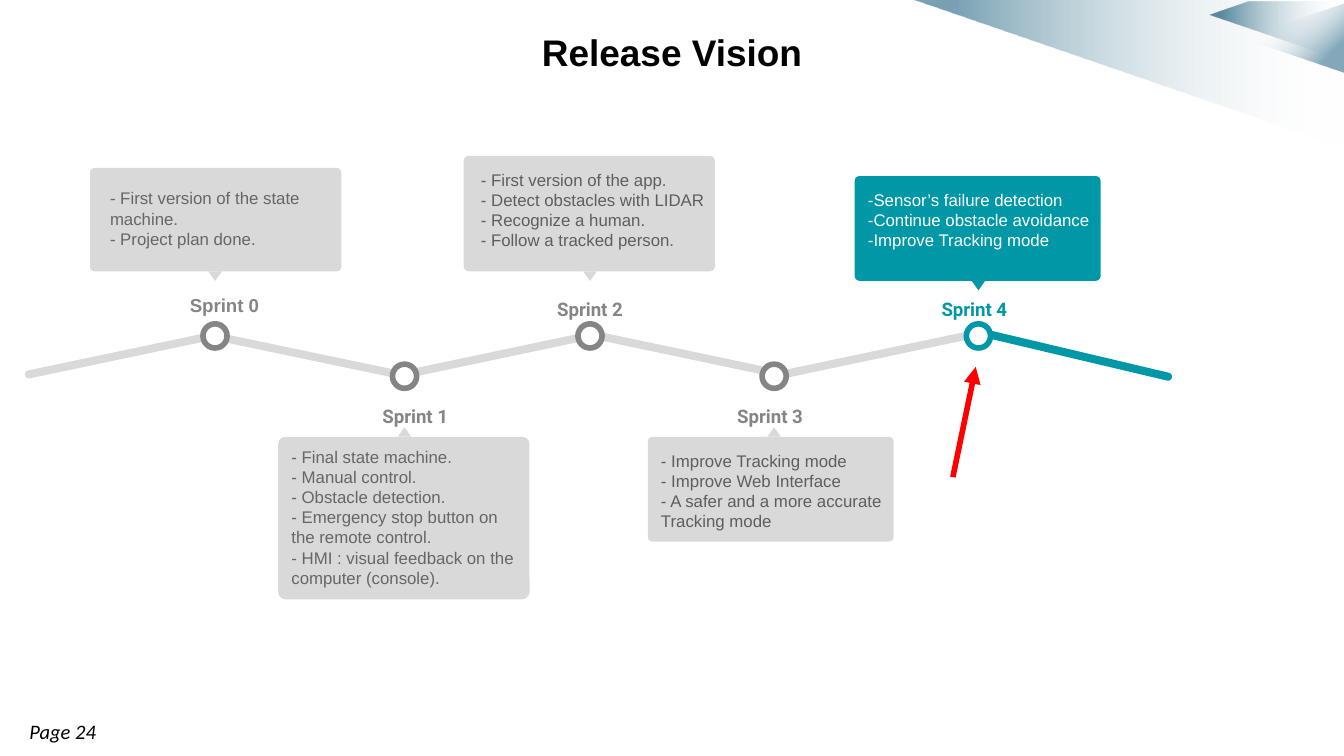
"""Build the Release Vision slide, a zigzag timeline of five sprints."""
from lxml.etree import SubElement
from pptx import Presentation
from pptx.dml.color import RGBColor
from pptx.enum.shapes import MSO_CONNECTOR as CONNECTOR, MSO_SHAPE as SHAPE
from pptx.enum.text import MSO_ANCHOR as ANCHOR, MSO_AUTO_SIZE as FIT, PP_ALIGN as ALIGN
from pptx.oxml.ns import qn
from pptx.util import Pt

PX = 9144
WIDTH = 1000
WHITE, BLACK, RED, NAVY = "FFFFFF", "000000", "FF0000", "004D6F"
PALE, GREY, TEAL = "D9D9D9", "858585", "0097A7"
RING, POINTER_W, POINTER_H = 18, 10, 7

SPRINTS = [
    dict(name="Sprint 0", x=160, y=250, accent=GREY, fill=PALE, ink="666666",
         label=(167, 209, "Arial", 1.0), card=(67, 125, 187, 77), body=(72, 130, 178, 68),
         lines=["- First version of the state machine.", "- Project plan done."]),
    dict(name="Sprint 1", x=301, y=280, accent=GREY, fill=PALE, ink="666666",
         label=(309, 289, "Roboto", 1.15), card=(207, 325, 187, 121), body=(207, 322, 187, 121),
         lines=["- Final state machine.", "- Manual control.", "- Obstacle detection.",
                "- Emergency stop button on the remote control.",
                "- HMI : visual feedback on the computer (console)."]),
    dict(name="Sprint 2", x=439, y=250, accent=GREY, fill=PALE, ink="5E5E5E",
         label=(439, 209, "Roboto", 1.15), card=(345, 116, 187, 86), body=(348, 116, 187, 78),
         lines=["- First version of the app.", "- Detect obstacles with LIDAR",
                "- Recognize a human.", "- Follow a tracked person."]),
    dict(name="Sprint 3", x=576, y=280, accent=GREY, fill=PALE, ink="5E5E5E",
         label=(573, 289, "Roboto", 1.15), card=(482, 325, 183, 78), body=(482, 325, 187, 78),
         lines=["- Improve Tracking mode", "- Improve Web Interface",
                "- A safer and a more accurate Tracking mode"]),
    dict(name="Sprint 4", x=728, y=250, accent=TEAL, fill=TEAL, ink=WHITE,
         label=(725, 209, "Roboto", 1.15), card=(636, 131, 183, 78), body=(636, 131, 187, 63),
         lines=["-Sensor’s failure detection", "-Continue obstacle avoidance",
                "-Improve Tracking mode"]),
]
SEGMENTS = [(17, 148, -11.9, PALE), (156, 140, 11.8, PALE), (297, 148, -11.9, PALE),
            (438, 148, 11.9, PALE), (578, 148, -11.9, PALE), (726, 148, 13.3, TEAL)]
WEDGES = [([(679, 0), (1000, 0), (1000, 110)], 53),
          ([(900, 11), (929, 1), (1000, 1), (1000, 45)], 63)]


def color(value):
    return RGBColor.from_string(value)


def scaled(*lengths):
    return [length * PX for length in lengths]


def add_shape(kind, bounds, fill, rotation=0, radius=None):
    shape = slide.shapes.add_shape(kind, *scaled(*bounds))
    shape.shadow.inherit = False
    shape.fill.solid()
    shape.fill.fore_color.rgb = color(fill)
    shape.line.fill.background()
    shape.rotation = rotation
    if radius is not None:
        shape.adjustments[0] = radius
    return shape


def set_gradient(shape, stops, angle):
    shape.fill.gradient()
    gradient = shape._element.spPr.find(qn("a:gradFill"))
    for child in list(gradient):
        gradient.remove(child)
    stop_list = SubElement(gradient, qn("a:gsLst"))
    for position, value, alpha in stops:
        stop = SubElement(stop_list, qn("a:gs"), pos=str(position * 1000))
        shade = SubElement(stop, qn("a:srgbClr"), val=value)
        SubElement(shade, qn("a:alpha"), val=str(alpha * 1000))
    SubElement(gradient, qn("a:lin"), ang=str(angle * 60000), scaled="0")


def write(box, lines, font, size, ink, inset=(10, 10), align=ALIGN.LEFT, spacing=1.0,
          bold=False, italic=False):
    frame = box.text_frame
    frame.word_wrap = True
    frame.auto_size = FIT.NONE
    frame.vertical_anchor = ANCHOR.TOP
    frame.margin_left = frame.margin_right = inset[0] * PX
    frame.margin_top = frame.margin_bottom = inset[1] * PX
    frame.text = "\n".join(lines)
    for para in frame.paragraphs:
        para.alignment = align
        para.line_spacing = spacing
        for span in para.runs:
            span.font.name, span.font.size = font, Pt(size)
            span.font.bold, span.font.italic = bold, italic
            span.font.color.rgb = color(ink)


def add_text(bounds, lines, *style, **options):
    write(slide.shapes.add_textbox(*scaled(*bounds)), lines, *style, **options)


def add_corner():
    for points, alpha in WEDGES:
        start, *others = points
        builder = slide.shapes.build_freeform(*start, scale=PX)
        builder.add_line_segments(others)
        wedge = builder.convert_to_shape()
        wedge.shadow.inherit = False
        wedge.line.fill.background()
        set_gradient(wedge, [(0, NAVY, alpha), (9, NAVY, alpha), (100, WHITE, 0)], 0)
    tip = add_shape(SHAPE.ISOSCELES_TRIANGLE, (937, -9, 51, 75), NAVY, 270)
    set_gradient(tip, [(0, WHITE, 0), (27, WHITE, 0), (81, NAVY, 48), (100, NAVY, 48)], 135)


def add_sprint(sprint):
    x, y = sprint["x"], sprint["y"]
    label_x, label_y, font, spacing = sprint["label"]
    left, top, width, height = sprint["card"]
    above = top < y
    pointer_y = top + height if above else top - POINTER_H
    add_shape(SHAPE.ROUNDED_RECTANGLE, sprint["card"], sprint["fill"], radius=0.045)
    add_shape(SHAPE.ISOSCELES_TRIANGLE, (x - POINTER_W // 2, pointer_y, POINTER_W, POINTER_H),
              sprint["fill"], 180 if above else 0)
    add_text(sprint["body"], sprint["lines"], "Arial", 9, sprint["ink"])
    add_text((label_x - 45, label_y, 90, 30), [sprint["name"]], font, 10, sprint["accent"],
             align=ALIGN.CENTER, spacing=spacing, bold=True)
    ring = add_shape(SHAPE.OVAL, (x - RING // 2, y - RING // 2, RING, RING), WHITE)
    ring.line.color.rgb = color(sprint["accent"])
    ring.line.width = Pt(3)


def add_arrow(start, end):
    arrow = slide.shapes.add_connector(CONNECTOR.STRAIGHT, *scaled(*start, *end))
    arrow.line.color.rgb = color(RED)
    arrow.line.width = Pt(3)
    SubElement(arrow.line._get_or_add_ln(), qn("a:tailEnd"), type="triangle")
    SubElement(arrow._element.spPr, qn("a:effectLst"))


deck = Presentation()
deck.slide_width = WIDTH * PX
deck.slide_height = WIDTH * PX * 9 // 16
slide = deck.slides.add_slide(deck.slide_layouts[5])

add_corner()
title = slide.shapes.title
title.left, title.top, title.width, title.height = scaled(248, 12, 504, 35)
write(title, ["Release Vision"], "Arial", 19.8, BLACK, inset=(10, 5),
      align=ALIGN.CENTER, spacing=1.15, bold=True)
add_text((12, 530, 268, 29), ["Page 24"], "Calibri", 11, BLACK, inset=(10, 5), italic=True)
for left, width, angle, fill in SEGMENTS:
    add_shape(SHAPE.ROUNDED_RECTANGLE, (left, 261, width, 6), fill, angle, 0.5)
for sprint in SPRINTS:
    add_sprint(sprint)
add_arrow((709, 355), (726, 273))

deck.save("out.pptx")
